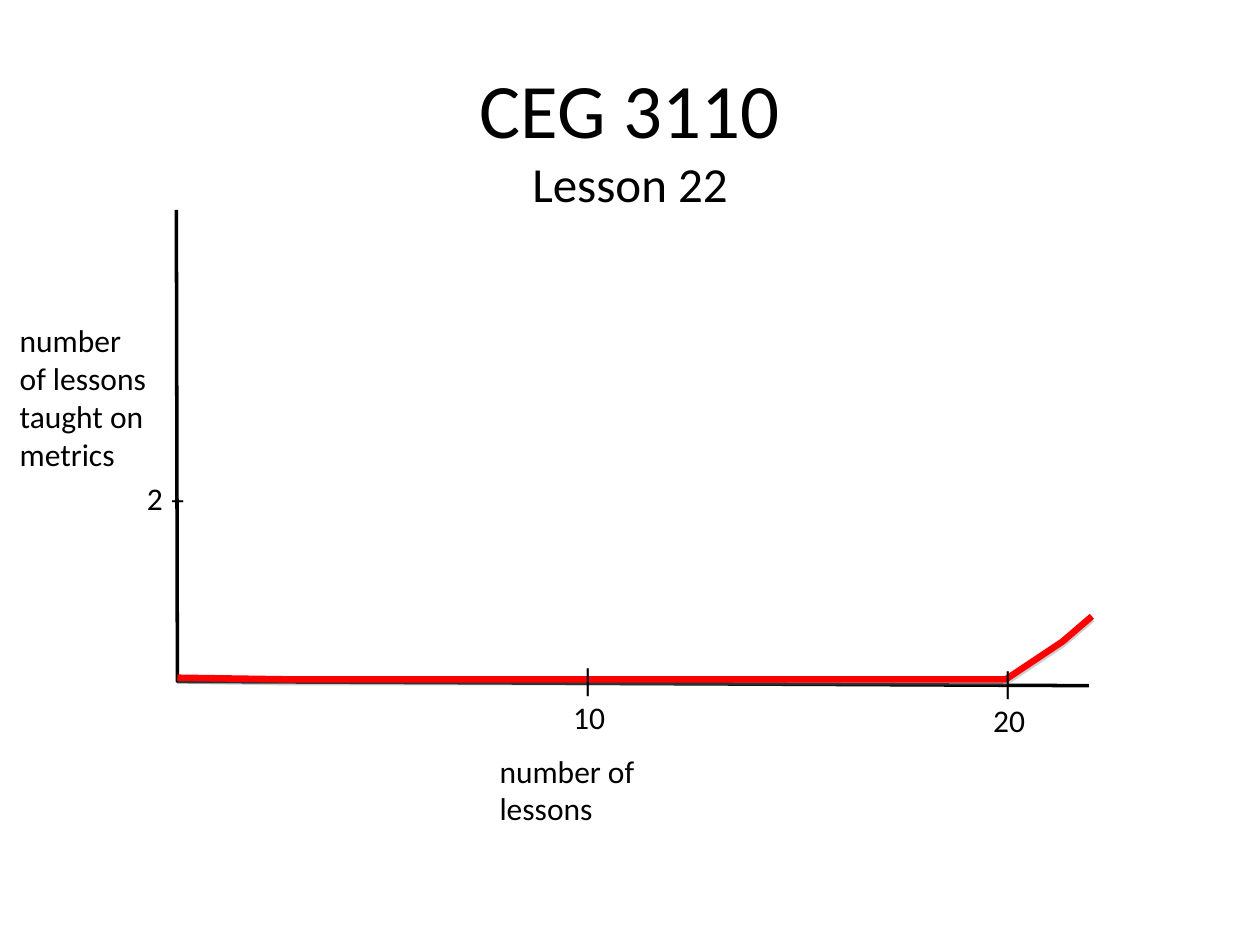
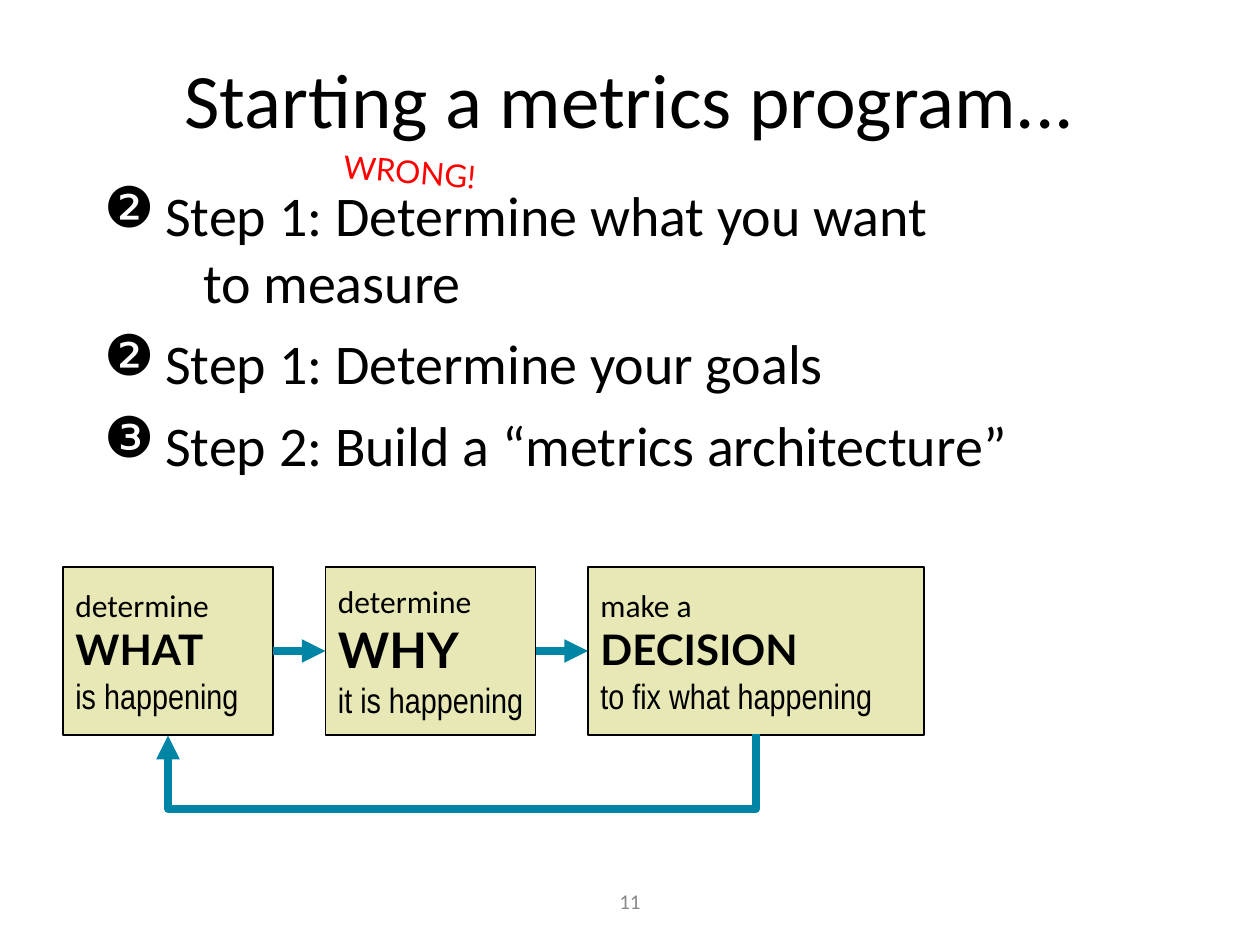
from dataclasses import dataclass

from lxml.etree import SubElement
from pptx import Presentation
from pptx.dml.color import RGBColor
from pptx.enum.shapes import MSO_CONNECTOR, MSO_SHAPE
from pptx.enum.text import MSO_ANCHOR, PP_ALIGN
from pptx.oxml.ns import qn
from pptx.util import Inches, Pt

COLUMNS, ROWS = 120, 90


@dataclass(frozen=True)
class Theme:
    ink: str = "000000"
    accent: str = "FF0000"
    box: str = "E7E8B6"
    arrow: str = "0085A4"
    muted: str = "898989"
    shadow: str = "808080"
    body_font: str = "Calibri"
    strong_font: str = "Lato"
    narrow_font: str = "Arial Narrow"
    title: int = 44
    body: int = 32
    subtitle: int = 28
    keyword: int = 24
    detail: int = 20
    label: int = 18
    footer: int = 12


THEME = Theme()


def write(paragraph, text, size=THEME.label, font=THEME.body_font,
          color=THEME.ink, bold=False, align=PP_ALIGN.LEFT, before=0,
          indent=0, bullet=None):
    paragraph.alignment = align
    paragraph.space_before = Pt(before)
    run = paragraph.add_run()
    run.text = text
    run.font.size = Pt(size)
    run.font.name = font
    run.font.bold = bold
    run.font.color.rgb = RGBColor.from_string(color)
    properties = paragraph._p.get_or_add_pPr()
    if indent:
        properties.set("marL", str(Inches(indent)))
    if bullet:
        properties.set("indent", str(-Inches(indent)))
        SubElement(properties, qn("a:buChar"), char=bullet)


class Deck:
    def __init__(self, theme):
        self.theme = theme
        self.presentation = Presentation()
        self.presentation.slide_width = Inches(10)
        self.presentation.slide_height = Inches(7.5)
        self.cell_width = self.presentation.slide_width / COLUMNS
        self.cell_height = self.presentation.slide_height / ROWS

    def new_slide(self):
        layout = self.presentation.slide_layouts[6]
        self.shapes = self.presentation.slides.add_slide(layout).shapes

    def grid(self, column, row):
        return round(column * self.cell_width), round(row * self.cell_height)

    def area(self, column, row, width, height):
        return *self.grid(column, row), *self.grid(width, height)

    def fill_text(self, frame, lines, wrap, anchor):
        frame.word_wrap = wrap
        frame.vertical_anchor = anchor
        for index, (text, style) in enumerate(lines):
            paragraph = frame.add_paragraph() if index else frame.paragraphs[0]
            write(paragraph, text, **style)

    def text(self, area, lines, wrap=False, anchor=MSO_ANCHOR.TOP, rotation=0):
        block = self.shapes.add_textbox(*self.area(*area))
        block.rotation = rotation
        self.fill_text(block.text_frame, lines, wrap, anchor)

    def title(self, area, heading, subtitle=None):
        lines = [(heading, dict(size=self.theme.title, align=PP_ALIGN.CENTER))]
        if subtitle:
            lines.append((subtitle, dict(size=self.theme.subtitle, align=PP_ALIGN.CENTER)))
        self.text(area, lines, wrap=True, anchor=MSO_ANCHOR.MIDDLE)

    def footer(self, number):
        style = dict(size=self.theme.footer, color=self.theme.muted, align=PP_ALIGN.CENTER)
        self.text((41, 83.4, 38, 4.8), [(number, style)], wrap=True, anchor=MSO_ANCHOR.MIDDLE)

    def box(self, area, lines):
        step = self.shapes.add_shape(MSO_SHAPE.RECTANGLE, *self.area(*area))
        step.shadow.inherit = False
        step.fill.solid()
        step.fill.fore_color.rgb = RGBColor.from_string(self.theme.box)
        self.outline(step, self.theme.ink, 0.75)
        self.fill_text(step.text_frame, lines, False, MSO_ANCHOR.MIDDLE)
        return step

    def outline(self, element, color, width):
        element.line.color.rgb = RGBColor.from_string(color)
        element.line.width = Pt(width)

    def path_line(self, points, color, width, shadow=False):
        start, *rest = [self.grid(*point) for point in points]
        builder = self.shapes.build_freeform(*start)
        builder.add_line_segments(rest, close=False)
        curve = builder.convert_to_shape()
        curve.fill.background()
        curve.shadow.inherit = False
        self.outline(curve, color, width)
        if shadow:
            effects = curve.element.spPr.find(qn("a:effectLst"))
            outer = SubElement(effects, qn("a:outerShdw"), blurRad="0",
                               dist=str(Pt(1.6)), dir="5400000", rotWithShape="0")
            shade = SubElement(outer, qn("a:srgbClr"), val=self.theme.shadow)
            SubElement(shade, qn("a:alpha"), val="38000")

    def arrow(self, kind, start, end):
        link = self.shapes.add_connector(kind, *self.grid(*start), *self.grid(*end))
        self.outline(link, self.theme.arrow, 4.5)
        properties = link.element.spPr
        SubElement(properties.find(qn("a:ln")), qn("a:tailEnd"), type="triangle")
        SubElement(properties, qn("a:effectLst"))
        return link

    def join(self, source, target):
        link = self.arrow(MSO_CONNECTOR.STRAIGHT, (0, 0), (1, 1))
        link.begin_connect(source, 3)
        link.end_connect(target, 1)

    def feedback(self, right, left, row, depth):
        drop = 0.12
        middle, span = (left + right) / 2, right - left
        link = self.arrow(MSO_CONNECTOR.ELBOW,
                          (middle - drop / 2, row - span / 2),
                          (middle + drop / 2, row + span / 2))
        properties = link.element.spPr
        properties.find(qn("a:xfrm")).set("rot", "5400000")
        guides = properties.find(qn("a:prstGeom")).get_or_add_avLst()
        SubElement(guides, qn("a:gd"), name="adj1",
                   fmla=f"val {round(depth / drop * 100000)}")


def lesson_slide(deck):
    theme = deck.theme
    deck.new_slide()
    deck.title((9, 3.4, 102, 19.3), "CEG 3110", "Lesson 22")
    deck.path_line([(16.8, 20), (16.9, 64.9), (103.7, 65.3)], theme.ink, 2)
    axis_words = ("number", "of lessons", "taught on", "metrics")
    deck.text((0.7, 30, 14.4, 15.6), [(word, {}) for word in axis_words])
    deck.text((46.4, 71, 24.7, 4.8), [("number of lessons", {})])
    deck.path_line([(16.9, 64.55), (27.1, 64.7), (95.8, 64.7), (101.2, 61.1), (104, 58.7)],
                   theme.accent, 3.75, shadow=True)
    deck.text((12.8, 45, 6.1, 4.8), [("2 –", {})])
    for column, row, lesson in ((93.4, 62.6, "20"), (53.4, 62.3, "10")):
        deck.text((column, row, 5.4, 8.4), [("|", dict(indent=0.06)), (lesson, {})])


def program_slide(deck):
    theme = deck.theme
    deck.new_slide()
    deck.footer("11")
    deck.title((6, 3.6, 108, 11.5), "Starting a metrics program...")
    step = dict(size=theme.body, before=8, indent=0.48)
    deck.text((8.8, 16.6, 108, 59.4), [
        ("Step 1: Determine what you want", dict(step, bullet="❷")),
        ("to measure", dict(size=theme.body, indent=0.78)),
        ("Step 1: Determine your goals", dict(step, bullet="❷")),
        ("Step 2: Build a “metrics architecture”", dict(step, bullet="❸")),
    ], wrap=True)
    deck.text((31, 15, 41, 16), [("WRONG!", dict(font=theme.strong_font, color=theme.accent))],
              wrap=True, rotation=4.9)

    stages = (
        (20, "determine", "WHAT", theme.keyword, "is happening"),
        (20, "determine", "WHY", theme.subtitle, "it is happening"),
        (32, "make a", "DECISION", theme.keyword, "to fix what happening"),
    )
    left, top, height, gap = 6, 54, 16, 5
    centers, previous = [], None
    for width, lead, keyword, size, detail in stages:
        stage = deck.box((left, top, width, height), [
            (lead, {}),
            (keyword, dict(size=size, font=theme.strong_font, bold=True)),
            (detail, dict(size=theme.detail, font=theme.narrow_font)),
        ])
        if previous:
            deck.join(previous, stage)
        centers.append(left + width / 2)
        left += width + gap
        previous = stage
    deck.feedback(centers[-1], centers[0], top + height, 7.2)


def main():
    deck = Deck(THEME)
    lesson_slide(deck)
    program_slide(deck)
    deck.presentation.save("out.pptx")


if __name__ == "__main__":
    main()
